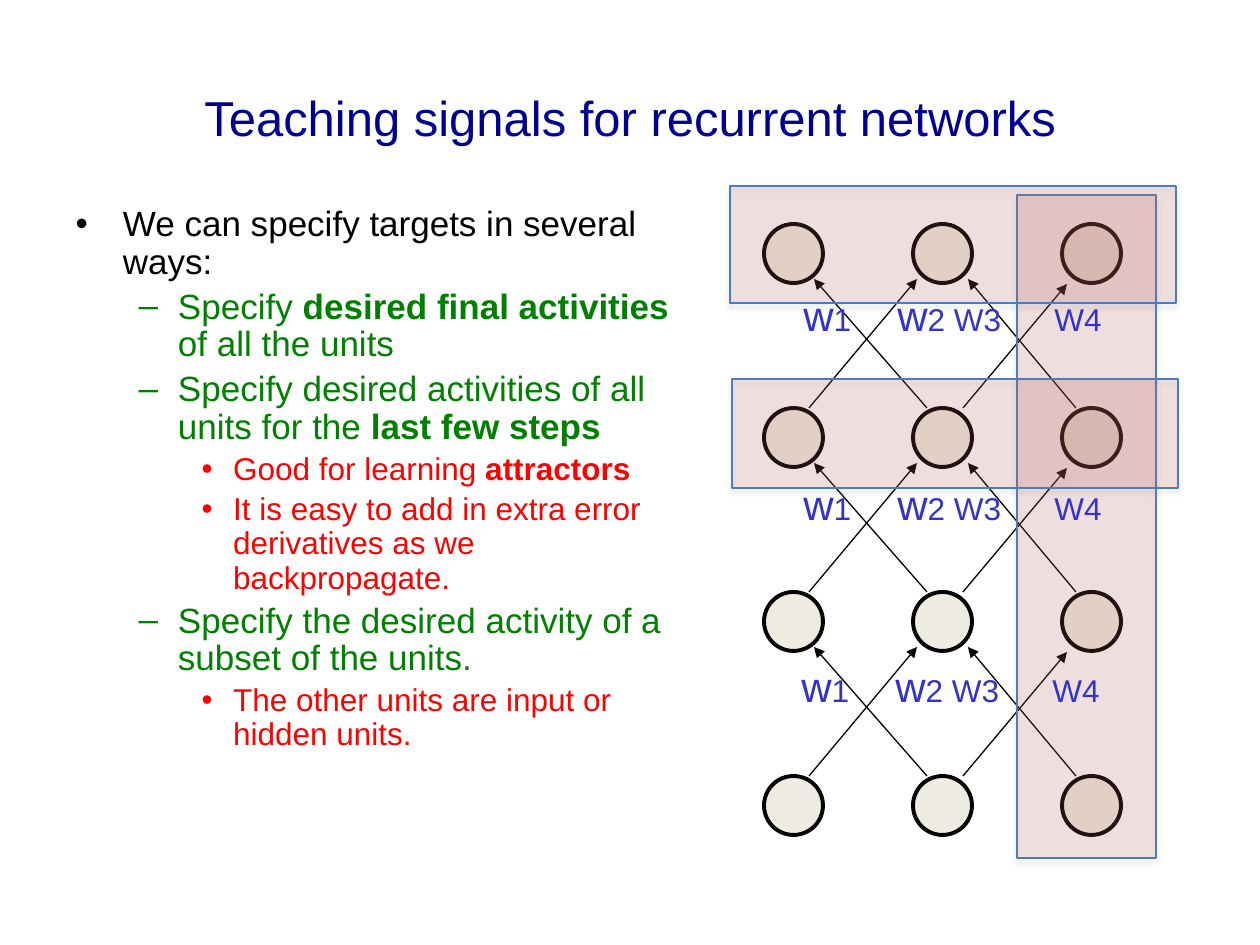
from dataclasses import dataclass

from lxml import etree
from pptx import Presentation
from pptx import util as u
from pptx.dml.color import RGBColor
from pptx.enum import shapes, text
from pptx.oxml.ns import qn

EMU_PER_PX = 914400 / 126


@dataclass(frozen=True)
class Theme:
    font: str = "Arial"
    title: str = "000090"
    levels: tuple = (("000000", 20), ("008000", 20), ("FF0000", 18))
    weight: str = "3333CC"
    unit: str = "EEECE1"
    ink: str = "000000"
    band: str = "C0504D"
    band_line: str = "4A7EBB"
    shadow: str = "808080"
    title_size: int = 28
    weight_size: int = 24
    index_size: int = 18


THEME = Theme()

TARGETS = (
    (0, (("We can specify targets in several ways:", False),)),
    (1, (("Specify ", False), ("desired final activities ", True), ("of all the units", False))),
    (1, (("Specify desired activities of all units for the ", False), ("last few steps", True))),
    (2, (("Good for learning ", False), ("attractors", True))),
    (2, (("It is easy to add in extra error derivatives as we backpropagate.", False),)),
    (1, (("Specify the desired activity of a subset of the units.", False),)),
    (2, (("The other units are input or hidden units.", False),)),
)
WEIGHTS = (("w", THEME.weight_size), ("1\t", THEME.index_size),
           ("w", THEME.weight_size), ("2 W3\tW4", THEME.index_size))
WEIGHT_TABS = (94, 251)
WEIGHT_CORNERS = ((791, 283), (791, 472), (789, 654))

UNIT_SIZE = 59
UNIT_COLUMNS = [764 + 149 * column for column in range(3)]
UNIT_ROWS = [224 + 184 * row for row in range(4)]
ARROWS = ((809, 917, 129), (1076, 968, 129), (927, 814, 129), (963, 1067, 124))
BANDS = ((1017, 195, 139, 663), (730, 186, 446, 117), (732, 379, 446, 109))


def px(*lengths):
    return [u.Emu(round(length * EMU_PER_PX)) for length in lengths]


def colour(code):
    return RGBColor.from_string(code)


def write(para, words, *, size, color, bold=False):
    span = para.add_run()
    span.text = words
    span.font.name = THEME.font
    span.font.size = u.Pt(size)
    span.font.bold = bold
    span.font.color.rgb = colour(color)


def child(parent, tag, **attributes):
    return etree.SubElement(parent, qn(tag), {key: str(value) for key, value in attributes.items()})


def place(box, *frame):
    box.left, box.top, box.width, box.height = px(*frame)


def add_title(page):
    box = page.shapes.title
    place(box, 63, 38, 1134, 157)
    write(box.text_frame.paragraphs[0], "Teaching signals for recurrent networks",
          size=THEME.title_size, color=THEME.title)


def add_list(page):
    box = page.placeholders[1]
    place(box, 63, 200, 626, 693)
    frame = box.text_frame
    frame.auto_size = text.MSO_AUTO_SIZE.NONE
    for number, (level, spans) in enumerate(TARGETS):
        para = frame.add_paragraph() if number else frame.paragraphs[0]
        para.level = level
        para.line_spacing = 0.9
        color, size = THEME.levels[level]
        for words, bold in spans:
            write(para, words, size=size, color=color, bold=bold)


def add_figure(page, kind, frame, fill, line, width):
    shape = page.shapes.add_shape(kind, *px(*frame))
    shape.fill.solid()
    shape.fill.fore_color.rgb = colour(fill)
    shape.line.color.rgb = colour(line)
    shape.line.width = u.Pt(width)
    shape.shadow.inherit = False
    return shape


def add_unit(page, left, top):
    add_figure(page, shapes.MSO_SHAPE.OVAL, (left, top, UNIT_SIZE, UNIT_SIZE),
               THEME.unit, THEME.ink, 2.25)


def add_arrow(page, start_x, start_y, end_x, end_y):
    arrow = page.shapes.add_connector(shapes.MSO_CONNECTOR.STRAIGHT,
                                      *px(start_x, start_y, end_x, end_y))
    arrow.line.color.rgb = colour(THEME.ink)
    arrow.line.width = u.Pt(0.75)
    properties = arrow.element.spPr
    child(properties.find(qn("a:ln")), "a:tailEnd", type="triangle")
    child(properties, "a:effectLst")


def add_band(page, frame):
    band = add_figure(page, shapes.MSO_SHAPE.RECTANGLE, frame, THEME.band, THEME.band_line, 0.75)
    properties = band.element.spPr
    child(properties.find(qn("a:solidFill"))[0], "a:alpha", val=15000)
    shadow = child(properties.find(qn("a:effectLst")), "a:outerShdw",
                   blurRad=u.Pt(3.1), dist=u.Pt(1.8), dir=5400000, rotWithShape=0)
    child(child(shadow, "a:srgbClr", val=THEME.shadow), "a:alpha", val=35000)


def add_weights(page, left, top):
    frame = page.shapes.add_textbox(*px(left, top, 380, 63)).text_frame
    frame.word_wrap = True
    frame.auto_size = text.MSO_AUTO_SIZE.SHAPE_TO_FIT_TEXT
    para = frame.paragraphs[0]
    tabs = child(para._p.get_or_add_pPr(), "a:tabLst")
    for position in px(*WEIGHT_TABS):
        child(tabs, "a:tab", pos=position, algn="l")
    for words, size in WEIGHTS:
        write(para, words, size=size, color=THEME.weight)


def add_network(page):
    for top in reversed(UNIT_ROWS):
        for left in UNIT_COLUMNS:
            add_unit(page, left, top)
        if top != UNIT_ROWS[0]:
            for start_x, end_x, rise in ARROWS:
                add_arrow(page, start_x, top, end_x, top - rise)
    for frame in BANDS:
        add_band(page, frame)
    for corner in WEIGHT_CORNERS:
        add_weights(page, *corner)


def main():
    deck = Presentation()
    deck.slide_width, deck.slide_height = px(1260, 945)
    page = deck.slides.add_slide(deck.slide_layouts[1])
    add_title(page)
    add_list(page)
    add_network(page)
    deck.save("out.pptx")


if __name__ == "__main__":
    main()
